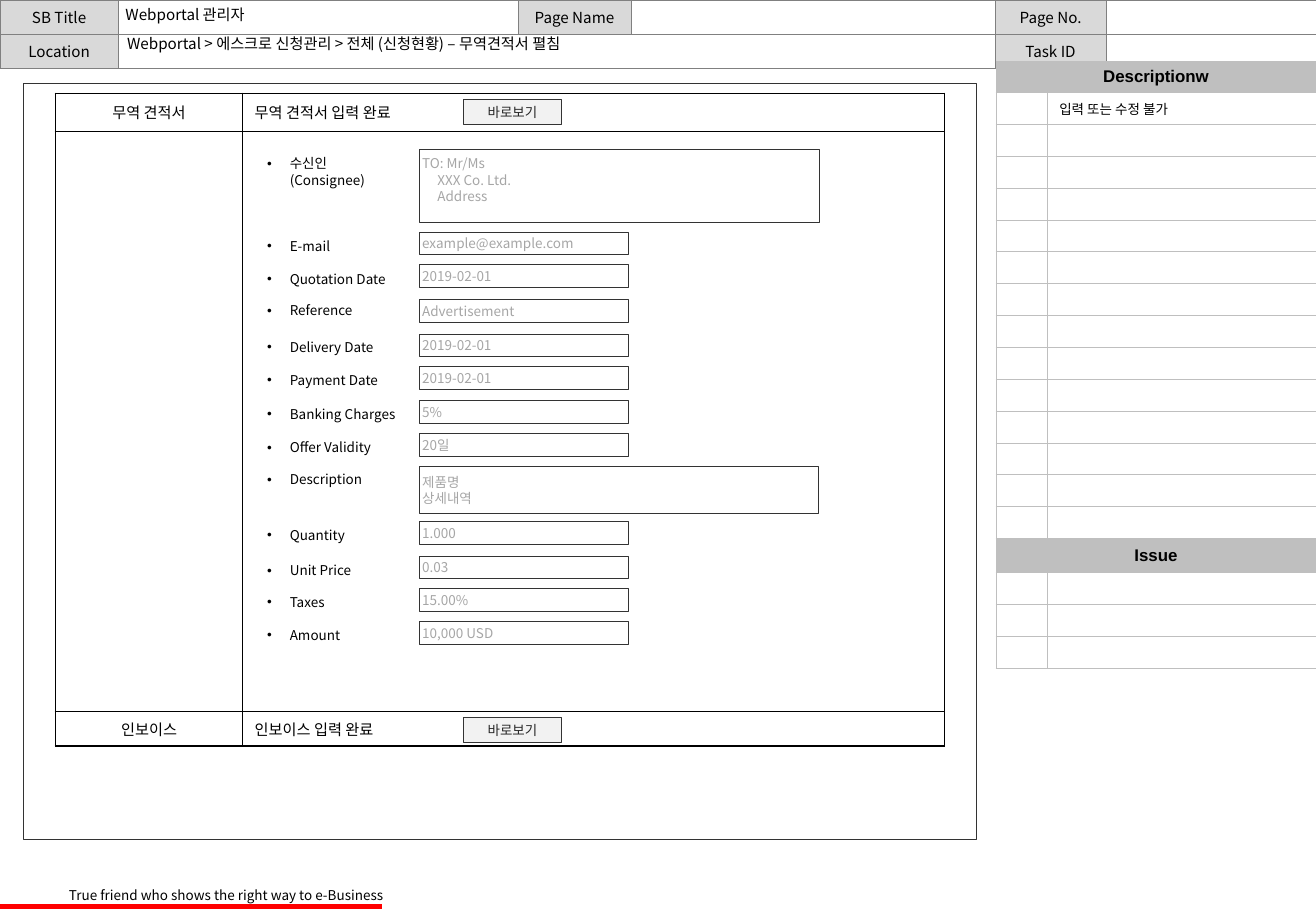
from dataclasses import dataclass
from lxml.etree import SubElement
from pptx import Presentation
from pptx.dml.color import RGBColor
from pptx.enum.shapes import MSO_CONNECTOR, MSO_SHAPE
from pptx.enum.text import MSO_ANCHOR, MSO_AUTO_SIZE, PP_ALIGN
from pptx.oxml.ns import qn
from pptx.util import Pt


@dataclass(frozen=True)
class Theme:
    """Colours, fonts and type sizes of the storyboard."""
    black: str = "000000"
    ink: str = "262626"
    outline: str = "333333"
    grid: str = "808080"
    hint: str = "A6A6A6"
    band: str = "BFBFBF"
    label: str = "D9D9D9"
    button: str = "F2F2F2"
    white: str = "FFFFFF"
    accent: str = "FF0000"
    korean: str = "Noto Sans CJK KR"
    heading: str = "Arial"
    latin: str = "Calibri"
    small: int = 8
    normal: int = 9
    large: int = 10


THEME = Theme()
SMALL_FIELD = (124, 13.5)
FIELDS = [
    ("수신인(Consignee)", 88.6, 88.6, (237.6, 43.4), ["TO: Mr/Ms", "XXX Co. Ltd.", "Address"]),
    ("E-mail", 137.5, 137.5, SMALL_FIELD, ["example@example.com"]),
    ("Quotation Date", 157, 156.7, SMALL_FIELD, ["2019-02-01"]),
    ("Reference", 175.7, 177.5, SMALL_FIELD, ["Advertisement"]),
    ("Delivery Date", 197.3, 198, SMALL_FIELD, ["2019-02-01"]),
    ("Payment Date", 216.7, 217.2, SMALL_FIELD, ["2019-02-01"]),
    ("Banking Charges", 236.9, 237.3, SMALL_FIELD, ["5%"]),
    ("Offer Validity", 257, 256.9, SMALL_FIELD, ["20일"]),
    ("Description", 275.8, 276.4, (237, 28), ["제품명", "상세내역"]),
    ("Quantity", 308.9, 309.4, SMALL_FIELD, ["1.000"]),
    ("Unit Price", 329.8, 329.7, SMALL_FIELD, ["0.03"]),
    ("Taxes", 348.5, 349.1, SMALL_FIELD, ["15.00%"]),
    ("Amount", 367.9, 368.4, SMALL_FIELD, ["10,000 USD"]),
]


def format_para(para, size, color=THEME.black, font=THEME.korean, bold=False, align=PP_ALIGN.LEFT):
    """Format a paragraph and all of its runs."""
    para.alignment = align
    for span in para.runs:
        span.font.size = Pt(size)
        span.font.bold = bold
        span.font.name = font
        span.font.color.rgb = RGBColor.from_string(color)
        SubElement(span.font._element, qn("a:ea"), typeface=THEME.korean)


def set_margins(holder, left, top, right, bottom):
    """Set the inner margins of a text frame or table cell."""
    holder.margin_left, holder.margin_top = Pt(left), Pt(top)
    holder.margin_right, holder.margin_bottom = Pt(right), Pt(bottom)


def draw_borders(cell, color, width):
    """Draw all four borders of a table cell."""
    properties = cell._tc.get_or_add_tcPr()
    for position, side in enumerate(("lnL", "lnR", "lnT", "lnB")):
        border = properties.makeelement(qn(f"a:{side}"), w=str(Pt(width)))
        fill = SubElement(border, qn("a:solidFill"))
        SubElement(fill, qn("a:srgbClr"), val=color)
        properties.insert(position, border)


def add_grid(slide, left, top, widths, heights, color, line_width):
    """Add an unfilled table with uniform borders."""
    table = slide.shapes.add_table(
        len(heights), len(widths), Pt(left), Pt(top), Pt(sum(widths)), Pt(sum(heights))).table
    table.first_row = table.horz_banding = False
    for column, width in zip(table.columns, widths):
        column.width = Pt(width)
    for row, height in zip(table.rows, heights):
        row.height = Pt(height)
    for cell in table.iter_cells():
        cell.fill.background()
        draw_borders(cell, color, line_width)
        set_margins(cell, 7.2, 0, 7.2, 0)
        cell.vertical_anchor = MSO_ANCHOR.MIDDLE
        SubElement(cell.text_frame.paragraphs[0]._p, qn("a:endParaRPr"), sz=str(THEME.small * 100))
    return table


def fill_cell(cell, text, size, fill=None, **style):
    """Write a table cell and colour its background."""
    cell.text_frame.text = text
    format_para(cell.text_frame.paragraphs[0], size, **style)
    if fill:
        cell.fill.solid()
        cell.fill.fore_color.rgb = RGBColor.from_string(fill)


def add_rectangle(slide, left, top, width, height, fill=None):
    """Add a thinly outlined rectangle."""
    box = slide.shapes.add_shape(MSO_SHAPE.RECTANGLE, Pt(left), Pt(top), Pt(width), Pt(height))
    box.shadow.inherit = False
    box.line.color.rgb = RGBColor.from_string(THEME.outline)
    box.line.width = Pt(0.5)
    if fill:
        box.fill.solid()
        box.fill.fore_color.rgb = RGBColor.from_string(fill)
    else:
        box.fill.background()
    return box


def add_button(slide, top):
    """Add a view button."""
    frame = add_rectangle(slide, 274.6, top, 58.5, 14.6, THEME.button).text_frame
    set_margins(frame, 0, 3.6, 0, 3.6)
    frame.vertical_anchor = MSO_ANCHOR.MIDDLE
    frame.text = "바로보기"
    format_para(frame.paragraphs[0], THEME.small, THEME.ink, align=PP_ALIGN.CENTER)


def add_text(slide, left, top, width, height, text, size, wrap=True):
    """Add a text box holding one paragraph."""
    box = slide.shapes.add_textbox(Pt(left), Pt(top), Pt(width), Pt(height))
    box.text_frame.word_wrap = wrap
    box.text_frame.text = text
    format_para(box.text_frame.paragraphs[0], size)
    return box


def add_field(slide, label, label_top, top, size, lines):
    """Add a bulleted label and its input field."""
    width = 83.5 if "(" in label else 114
    box = add_text(slide, 151.2, label_top, width, 17, label, THEME.small)
    properties = box.text_frame.paragraphs[0]._p.get_or_add_pPr()
    properties.set("marL", str(Pt(13.5)))
    properties.set("indent", str(-Pt(13.5)))
    SubElement(properties, qn("a:buFont"), typeface=THEME.heading)
    SubElement(properties, qn("a:buChar"), char="•")
    frame = add_rectangle(slide, 248.4, top, *size).text_frame
    set_margins(frame, 1.8, 3.6, 0, 3.6)
    frame.vertical_anchor = MSO_ANCHOR.TOP if len(lines) > 2 else MSO_ANCHOR.MIDDLE
    frame.text = "\n".join(lines)
    for index, para in enumerate(frame.paragraphs):
        format_para(para, THEME.small, THEME.hint)
        if index and len(lines) > 2:
            para._p.get_or_add_pPr().set("marL", str(Pt(9)))


def format_heading(box):
    """Give a header text box its tight margins and spacing."""
    frame = box.text_frame
    set_margins(frame, 2.9, 2.9, 2.9, 2.9)
    frame.vertical_anchor = MSO_ANCHOR.MIDDLE
    frame.auto_size = MSO_AUTO_SIZE.NONE
    frame.paragraphs[0].line_spacing = 0.9


def add_header(slide):
    """Add the header table, title and location."""
    table = add_grid(slide, 0, 0, [70, 237, 67, 216, 65.5, 124.5], [20.15] * 2, THEME.grid, 0.25)
    table.cell(1, 1).merge(table.cell(1, 3))
    labels = {(0, 0): "SB Title", (0, 2): "Page Name", (0, 4): "Page No.",
              (1, 0): "Location", (1, 4): "Task ID"}
    for position, text in labels.items():
        fill_cell(table.cell(*position), text, THEME.normal, THEME.label, align=PP_ALIGN.CENTER)
    title = slide.shapes.title
    title.left, title.top, title.width, title.height = Pt(71.5), Pt(0.5), Pt(234), Pt(17)
    title.text_frame.text = "Webportal 관리자"
    format_para(title.text_frame.paragraphs[0], THEME.normal)
    location = add_text(slide, 72.5, 18, 332, 17,
                        "Webportal > 에스크로 신청관리 > 전체 (신청현황) – 무역견적서 펼침", THEME.normal)
    for box in (title, location):
        format_heading(box)


def add_side_panel(slide):
    """Add the description and issue table."""
    heights = [18.7] + [18.9] * 14 + [20.2] + [18.9] * 3
    table = add_grid(slide, 590.3, 36.2, [30.4, 159.3], heights, THEME.band, 0.5)
    for row, text in ((0, "Descriptionw"), (15, "Issue")):
        table.cell(row, 0).merge(table.cell(row, 1))
        fill_cell(table.cell(row, 0), text, THEME.large, THEME.band,
                  font=THEME.heading, bold=True, align=PP_ALIGN.CENTER)
    fill_cell(table.cell(1, 1), "입력 또는 수정 불가", THEME.small, font=THEME.heading)


def add_document_table(slide):
    """Add the framed table of trade documents."""
    add_rectangle(slide, 13.7, 49.7, 565.2, 447.8, THEME.white)
    table = add_grid(slide, 32.8, 55.4, [111, 416], [22.5, 344, 20.4], THEME.black, 1)
    for row, name in ((0, "무역 견적서"), (1, ""), (2, "인보이스")):
        fill_cell(table.cell(row, 0), name, THEME.normal, THEME.white,
                  font=THEME.latin, align=PP_ALIGN.CENTER)
        status = f"{name} 입력 완료" if name else ""
        fill_cell(table.cell(row, 1), status, THEME.normal, THEME.white)
    for top in (59.2, 425.5):
        add_button(slide, top)


def add_footer(slide):
    """Add the slogan and its red rule."""
    rule = slide.shapes.add_connector(MSO_CONNECTOR.STRAIGHT, Pt(0), Pt(537.6), Pt(226.5), Pt(537.6))
    rule.line.color.rgb = RGBColor.from_string(THEME.accent)
    rule.line.width = Pt(3)
    SubElement(rule._element.spPr, qn("a:effectLst"))
    add_text(slide, 33.8, 522, 207, 17, "True friend who shows the right way to e-Business",
             THEME.small, wrap=False)


def main():
    """Build the storyboard slide."""
    deck = Presentation()
    deck.slide_width, deck.slide_height = Pt(780), Pt(540)
    page = deck.slides.add_slide(deck.slide_layouts[5])
    add_header(page)
    add_footer(page)
    add_document_table(page)
    add_side_panel(page)
    for field in FIELDS:
        add_field(page, *field)
    deck.save("out.pptx")


if __name__ == "__main__":
    main()
